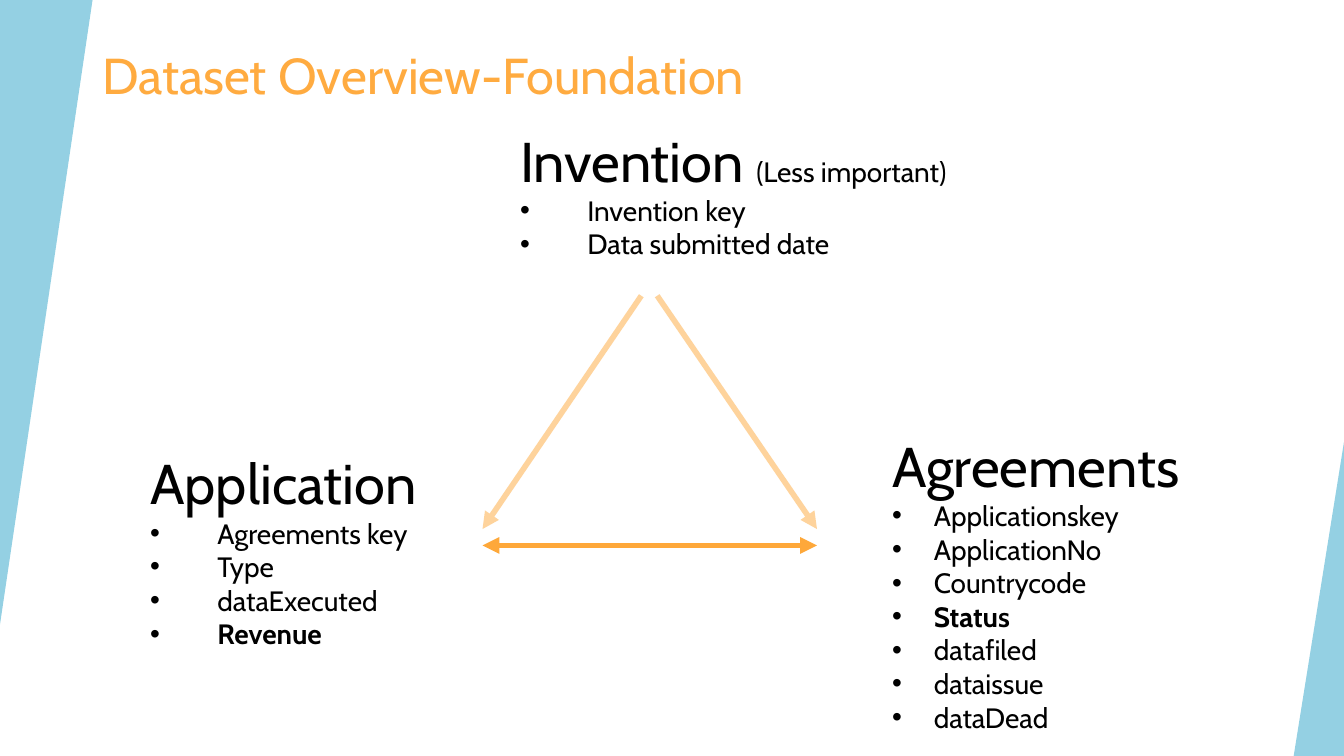
import dataclasses

import lxml.etree
import pptx
import pptx.dml.color
import pptx.enum.shapes
import pptx.enum.text
import pptx.oxml.ns
import pptx.slide
import pptx.util

Cm, Pt = pptx.util.Cm, pptx.util.Pt


def color(hex):
    return pptx.dml.color.RGBColor.from_string(hex)


def add(parent, tag, **attrs):
    return lxml.etree.SubElement(parent, pptx.oxml.ns.qn(tag), attrs)


@dataclasses.dataclass
class Deck:
    slide: pptx.slide.Slide
    font: str = "Cabin"
    ink: str = "000000"
    accent: str = "FFAB40"
    arrow: str = "FEA83A"
    edge: str = "94D0E3"

    def run(self, para, text, size, hue=None, bold=False):
        run = para.add_run()
        run.text = text
        run.font.name = self.font
        run.font.size = Pt(size)
        run.font.bold = bold
        run.font.color.rgb = color(hue or self.ink)

    def title(self, text, x, y, w, h):
        shape = self.slide.shapes.title
        shape.left, shape.top = Cm(x), Cm(y)
        shape.width, shape.height = Cm(w), Cm(h)
        frame = shape.text_frame
        frame.margin_left = frame.margin_right = Cm(0.18)
        frame.margin_top = frame.margin_bottom = Cm(0.1)
        frame.vertical_anchor = pptx.enum.text.MSO_ANCHOR.MIDDLE
        para = frame.paragraphs[0]
        para.alignment = pptx.enum.text.PP_ALIGN.LEFT
        self.run(para, text, 27, self.accent)

    def wedge(self, *points):
        start, *rest = [(Cm(x), Cm(y)) for x, y in points]
        form = self.slide.shapes.build_freeform(*start)
        form.add_line_segments(rest)
        shape = form.convert_to_shape()
        shape.shadow.inherit = False
        shape.fill.solid()
        shape.fill.fore_color.rgb = color(self.edge)
        shape.line.fill.background()

    def link(self, start, end, alpha=100, both=False):
        line = self.slide.shapes.add_connector(
            pptx.enum.shapes.MSO_CONNECTOR.STRAIGHT,
            *(Cm(v) for v in (*start, *end)))
        line.line.width = Pt(3)
        line.line.color.rgb = color(self.arrow)
        props = line._element.spPr
        stroke = props.find(pptx.oxml.ns.qn("a:ln"))
        if alpha < 100:
            tint = stroke.find(".//" + pptx.oxml.ns.qn("a:srgbClr"))
            add(tint, "a:alpha", val=str(alpha * 1000))
        if both:
            add(stroke, "a:headEnd", type="triangle")
        add(stroke, "a:tailEnd", type="triangle")
        add(props, "a:effectLst")

    def bullet(self, para, indent):
        props = para._p.get_or_add_pPr()
        props.set("marL", str(Cm(indent)))
        props.set("indent", str(-Cm(indent)))
        add(add(props, "a:buClr"), "a:srgbClr", val=self.ink)
        add(props, "a:buFont", typeface="Arial")
        add(props, "a:buChar", char="•")

    def table(self, name, fields, x, y, w, h, indent=1.27, note="", key=""):
        box = self.slide.shapes.add_textbox(Cm(x), Cm(y), Cm(w), Cm(h))
        frame = box.text_frame
        frame.word_wrap = True
        head = frame.paragraphs[0]
        self.run(head, name, 30)
        if note:
            self.run(head, note, 15)
        for field in fields:
            para = frame.add_paragraph()
            self.bullet(para, indent)
            self.run(para, field, 15, bold=field == key)


def main():
    show = pptx.Presentation()
    show.slide_width, show.slide_height = Cm(25.4), Cm(14.29)
    deck = Deck(show.slides.add_slide(show.slide_layouts[5]))

    # Arrows between the three tables
    left, right, top, base = 9.12, 15.44, 5.59, 10.0
    deck.link((12.12, top), (left, base), alpha=50)
    deck.link((12.42, top), (right, base), alpha=50)
    deck.link((left, 10.31), (right, 10.31), both=True)

    # Tables with their fields
    deck.table("Invention ", ["Invention key", "Data submitted date"],
               9.58, 2.26, 10.8, 2.82, note="(Less important)")
    deck.table("Application",
               ["Agreements key", "Type", "dataExecuted", "Revenue"],
               2.59, 8.36, 7.54, 4.11, key="Revenue")
    deck.table("Agreements",
               ["Applicationskey", "ApplicationNo", "Countrycode", "Status",
                "datafiled", "dataissue", "dataDead"],
               16.61, 8.03, 7.54, 6.1, indent=0.79, key="Status")

    # Side wedges
    deck.wedge((0, 0), (1.75, 0), (0, 11.81))
    deck.wedge((25.4, 8.36), (25.4, 14.29), (24.45, 14.29))

    # Title
    deck.title("Dataset Overview-Foundation", 1.75, 0.66, 17.91, 1.5)

    show.save("out.pptx")


if __name__ == "__main__":
    main()
